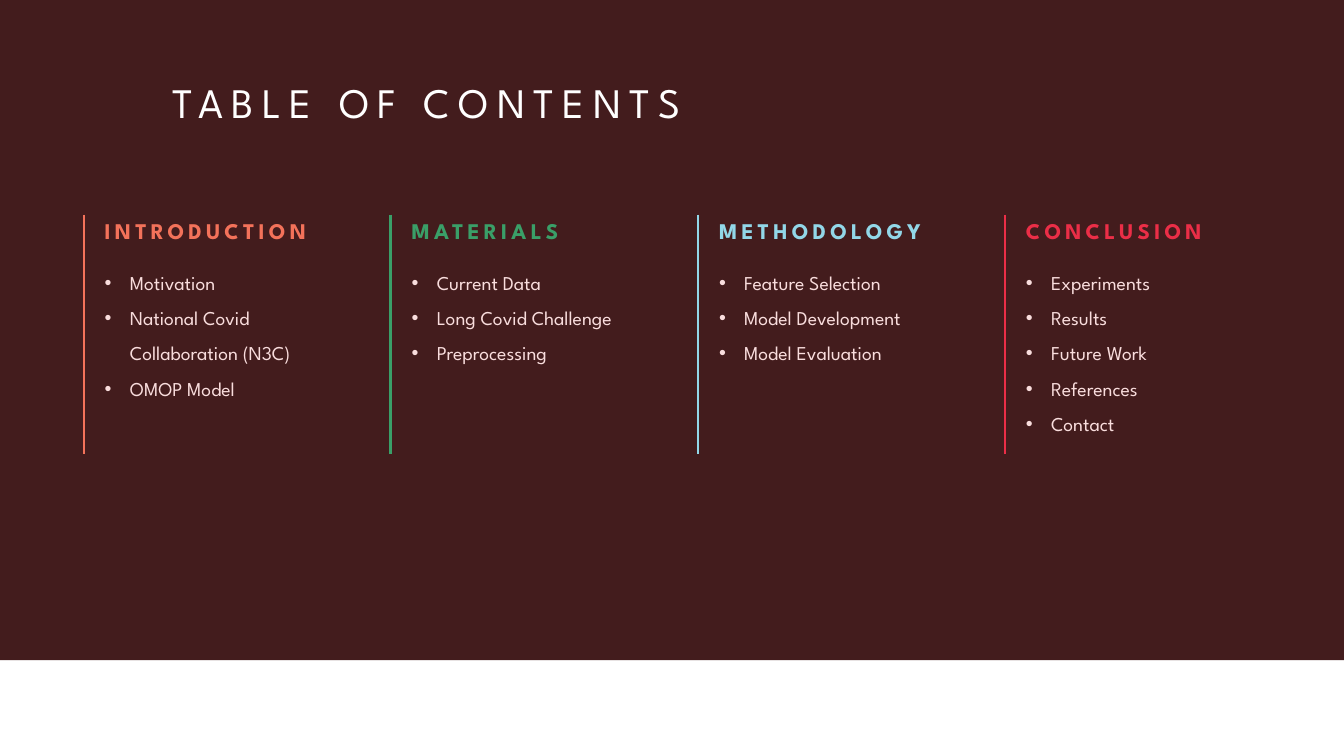
from pptx import Presentation
from pptx import util as u
from pptx.dml.color import RGBColor
from pptx.enum import shapes, text
from pptx.oxml.ns import qn
from lxml import etree

PX = 9144
WIDTH, HEIGHT = 2667, 1500
FONT = "League Spartan"
RULE_LEFT, RULE_TOP, RULE_BOTTOM = 166, 426, 901
COLUMN_SPAN = 1828
TEXT_GAP, TEXT_WIDTH = 32, 475
LINE_HEIGHT = 71
INDENT = 50

TITLE = {"size": u.Pt(60), "bold": False}
HEADING = {"size": u.Pt(32), "bold": True}
ITEM = {"size": u.Pt(28), "bold": False}

COLUMNS = [
    ("INTRODUCTION", "F3725A", 4,
     ["Motivation", "National Covid Collaboration (N3C)", "OMOP Model"]),
    ("MATERIALS", "3A9F68", 3,
     ["Current Data", "Long Covid Challenge", "Preprocessing"]),
    ("METHODOLOGY", "92D7E8", 3,
     ["Feature Selection", "Model Development", "Model Evaluation"]),
    ("CONCLUSION", "EB2E47", 5,
     ["Experiments", "Results", "Future Work", "References", "Contact"]),
]


def px(*lengths):
    return [u.Emu(length * PX) for length in lengths]


def color(value):
    return RGBColor.from_string(value)


def add_backdrop(page, area, fill):
    panel = page.shapes.add_shape(shapes.MSO_SHAPE.RECTANGLE, *px(*area))
    panel.shadow.inherit = False
    panel.fill.solid()
    panel.fill.fore_color.rgb = color(fill)
    panel.line.fill.background()


def add_rule(page, left, top, bottom, stroke):
    rule = page.shapes.add_connector(
        shapes.MSO_CONNECTOR.STRAIGHT, *px(left, top, left, bottom))
    rule.line.color.rgb = color(stroke)
    rule.line.width = u.Pt(3)
    etree.SubElement(rule._element.spPr, qn("a:effectLst"))


def add_bullet(para):
    props = para._p.get_or_add_pPr()
    props.set("marL", str(INDENT * PX))
    props.set("indent", str(-INDENT * PX))
    etree.SubElement(props, qn("a:buFont")).set("typeface", "Arial")
    etree.SubElement(props, qn("a:buChar")).set("char", "•")
    para.line_spacing = 1.5


def add_text(page, area, lines, style, ink, tracking=0, bullets=False):
    box = page.shapes.add_textbox(*px(*area))
    frame = box.text_frame
    frame.word_wrap = True
    frame.auto_size = text.MSO_AUTO_SIZE.SHAPE_TO_FIT_TEXT
    for index, line in enumerate(lines):
        para = frame.add_paragraph() if index else frame.paragraphs[0]
        if bullets:
            add_bullet(para)
        span = para.add_run()
        span.text = line
        for name, value in {"name": FONT, **style}.items():
            setattr(span.font, name, value)
        span.font.color.rgb = color(ink)
        if tracking:
            span._r.get_or_add_rPr().set("spc", str(tracking * 100))


def add_column(page, left, heading, accent, line_count, items):
    text_left = left + TEXT_GAP
    add_rule(page, left, RULE_TOP, RULE_BOTTOM, accent)
    add_text(page, (text_left, 425, TEXT_WIDTH, 64), [heading], HEADING, accent, tracking=6)
    add_text(page, (text_left, 509, TEXT_WIDTH, LINE_HEIGHT * line_count + 3),
             items, ITEM, "F9DDDD", bullets=True)


def main():
    deck = Presentation()
    deck.slide_width, deck.slide_height = px(WIDTH, HEIGHT)
    page = deck.slides.add_slide(deck.slide_layouts[6])
    add_backdrop(page, (0, 0, WIDTH, 1310), "431C1D")
    add_text(page, (333, 147, 1402, 111), ["TABLE OF CONTENTS"], TITLE, "FFFFFF", tracking=12)
    for index, column in enumerate(COLUMNS):
        left = RULE_LEFT + round(COLUMN_SPAN * index / (len(COLUMNS) - 1))
        add_column(page, left, *column)
    deck.save("out.pptx")


if __name__ == "__main__":
    main()
